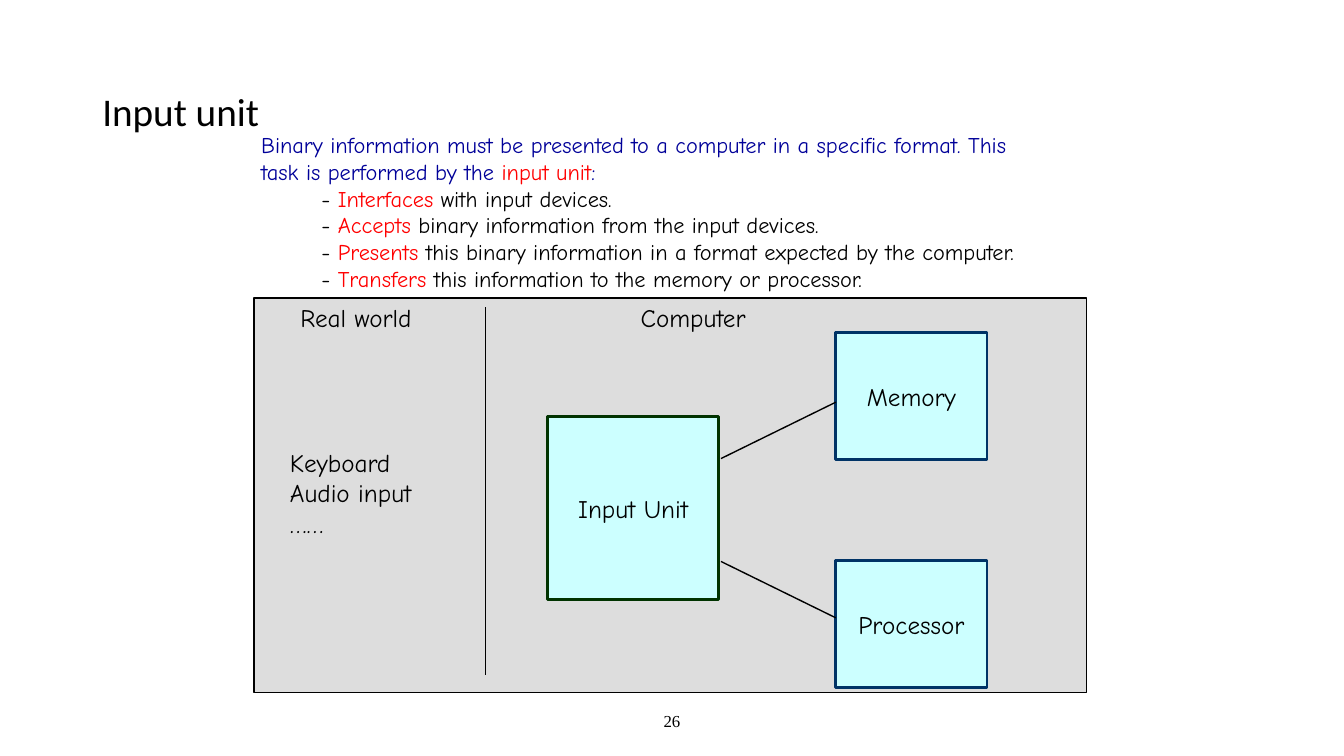
from pptx import Presentation
from pptx.dml.color import RGBColor
from pptx.enum import shapes, text
from pptx.oxml.ns import qn
from pptx.util import Pt

HUES = {
    "black": "000000", "blue": "000099", "red": "FF0000", "grey": "DDDDDD",
    "cyan": "CCFFFF", "green": "003300", "navy": "003366",
}
HAND = "Comic Neue"
MID = text.MSO_ANCHOR.MIDDLE
TOP = text.MSO_ANCHOR.TOP
LEFT = text.PP_ALIGN.LEFT
MIDDLE = text.PP_ALIGN.CENTER
TASKS = [
    ("Interfaces", " with input devices."),
    ("Accepts", " binary information from the input devices."),
    ("Presents", " this binary information in a format expected by the computer."),
    ("Transfers", " this information to the memory or processor."),
]


def rgb(name):
    return RGBColor.from_string(HUES[name])


def write(frame, lines, size=18, font=HAND, align=LEFT, anchor=TOP):
    """Fill a frame with lines, each a list of (words, hue) runs."""
    frame.word_wrap = True
    frame.vertical_anchor = anchor
    for i, line in enumerate(lines):
        para = frame.paragraphs[0] if i == 0 else frame.add_paragraph()
        para.alignment = align
        for words, hue in line:
            run = para.add_run()
            run.text = words
            run.font.size = Pt(size)
            run.font.name = font
            run.font.color.rgb = rgb(hue)


def label(slide, box, lines, **style):
    frame = slide.shapes.add_textbox(*map(Pt, box)).text_frame
    write(frame, lines, **style)
    return frame


def block(slide, box, fill, edge, width, words=None):
    rect = slide.shapes.add_shape(shapes.MSO_SHAPE.RECTANGLE, *map(Pt, box))
    rect.shadow.inherit = False
    rect.fill.solid()
    rect.fill.fore_color.rgb = rgb(fill)
    rect.line.color.rgb = rgb(edge)
    rect.line.width = Pt(width)
    if words:
        write(rect.text_frame, [[(words, "black")]], align=MIDDLE, anchor=MID)


def rule(slide, *ends):
    line = slide.shapes.add_connector(shapes.MSO_CONNECTOR.STRAIGHT, *map(Pt, ends))
    line.line.color.rgb = rgb("black")
    line.line.width = Pt(1)
    props = line._element.spPr
    props.append(props.makeelement(qn("a:effectLst"), {}))


def title(slide, box):
    frame = label(slide, box, [[("Input unit", "black")]], size=28,
                  font="Calibri", anchor=MID)
    frame.paragraphs[0].line_spacing = 0.9


def intro(slide, box):
    lines = [
        [("Binary information must be presented to a computer in a specific format. This", "blue")],
        [("task is performed by the ", "blue"), ("input unit", "red"), (":", "blue")],
    ]
    lines += [[("- ", "black"), (verb, "red"), (rest, "black")] for verb, rest in TASKS]
    frame = label(slide, box, lines, size=16)
    for para in frame.paragraphs[2:]:
        para._p.get_or_add_pPr().set("marL", str(Pt(43)))


def diagram(slide, box):
    x, y, w, h = box
    block(slide, box, "grey", "black", 1)
    block(slide, (x + 209.5, y + 84.5, 122.5, 131), "cyan", "green", 2, "Input Unit")

    # Memory and processor mirror each other about the input unit's middle
    mid = y + 151.3
    for name, side in (("Processor", 1), ("Memory", -1)):
        block(slide, (x + 415.5, mid + side * 81.5 - 45.25, 108, 90.5),
              "cyan", "navy", 2, name)
        rule(slide, x + 333.5, mid + side * 36.75, x + 415.5, mid + side * 77)

    rule(slide, x + 165.5, y + 6.5, x + 165.5, y + 269.5)
    label(slide, (x + 269, y - 0.5, 96, 29), [[("Computer", "black")]])
    label(slide, (x + 26, y - 0.5, 102, 29), [[("Real world", "black")]])
    label(slide, (x + 18.5, y + 103, 112, 93.5),
          [[(item, "black")] for item in ("Keyboard", "Audio input", "……")])


def number(slide, box):
    label(slide, box, [[("26", "black")]], size=12, font="Times New Roman",
          align=MIDDLE, anchor=MID)


def main():
    deck = Presentation()
    deck.slide_width, deck.slide_height = Pt(960), Pt(540)
    slide = deck.slides.add_slide(deck.slide_layouts[6])
    number(slide, (318, 500.5, 324, 29))
    title(slide, (66, 29, 828, 104.5))
    diagram(slide, (181.5, 213, 594.5, 281.5))
    intro(slide, (179.5, 90, 602.5, 122.5))
    deck.save("out.pptx")


if __name__ == "__main__":
    main()
